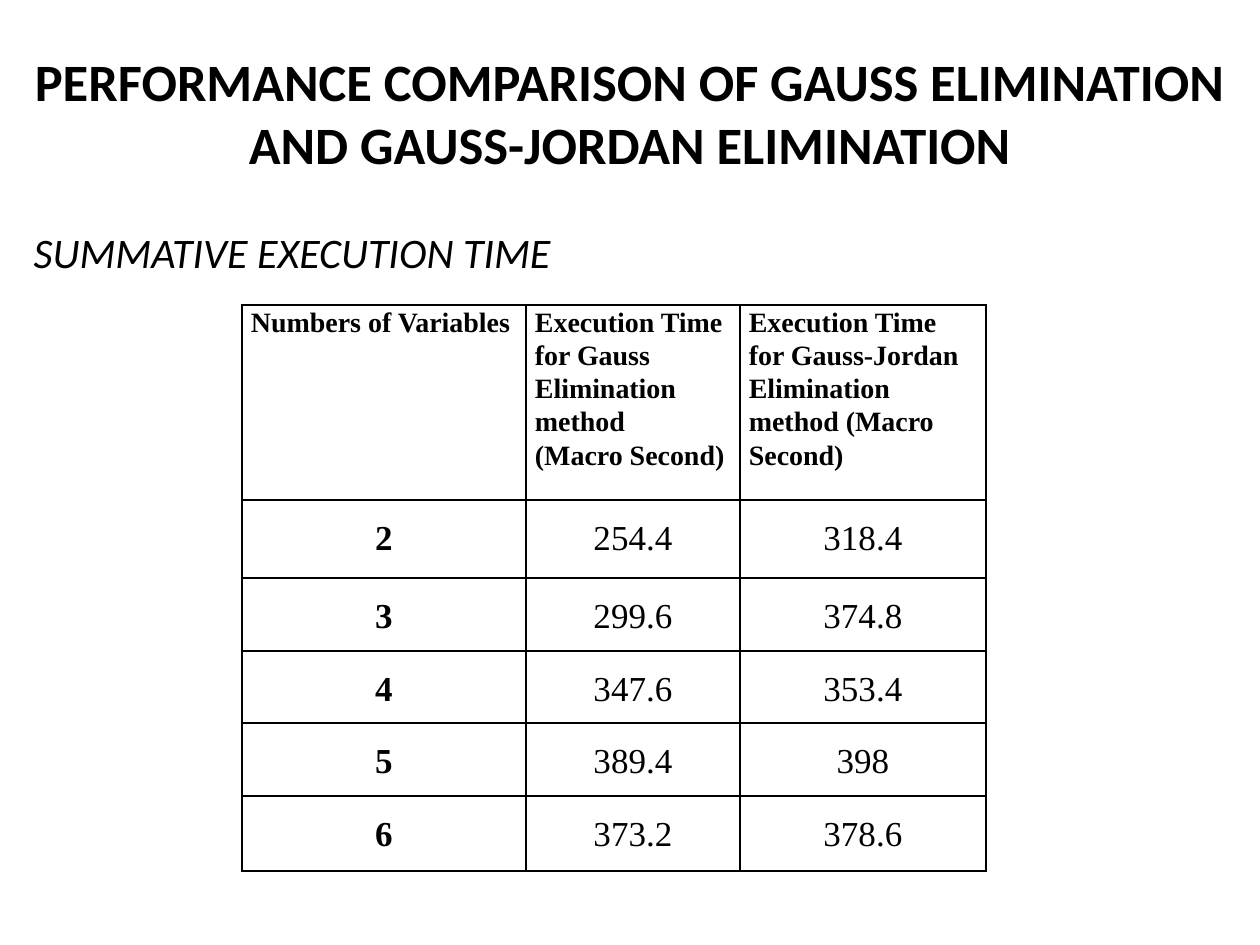
"""Build the slide comparing Gauss and Gauss-Jordan execution times."""
from dataclasses import dataclass

from lxml.etree import SubElement
from pptx import Presentation
from pptx.dml.color import RGBColor
from pptx.enum.text import MSO_ANCHOR as Anchor, MSO_AUTO_SIZE as AutoSize, PP_ALIGN as Align
from pptx.oxml.ns import qn
from pptx.util import Emu, Pt

PX = 914400 / 126


@dataclass(frozen=True)
class Theme:
    ink: RGBColor = RGBColor(0, 0, 0)
    paper: RGBColor = RGBColor(255, 255, 255)
    heading_font: str = "Calibri"
    table_font: str = "Times New Roman"
    title_size: int = 30
    subtitle_size: int = 24
    header_size: int = 16
    value_size: int = 20
    border: int = 1


THEME = Theme()
COLUMNS = [284, 214, 246]
ROWS = [195, 78, 73, 72, 73, 75]
HEADERS = (
    "Numbers of Variables",
    "Execution Time for Gauss Elimination method\n(Macro Second)",
    "Execution Time for Gauss-Jordan Elimination method (Macro Second)",
)
TIMES = [
    ("2", "254.4", "318.4"),
    ("3", "299.6", "374.8"),
    ("4", "347.6", "353.4"),
    ("5", "389.4", "398"),
    ("6", "373.2", "378.6"),
]


def px(length):
    return Emu(round(length * PX))


def apply(target, **values):
    for name, value in values.items():
        setattr(target, name, value)


def write(frame, wording, font, paragraph):
    frame.text = wording
    for line in frame.paragraphs:
        apply(line, **paragraph)
        for run in line.runs:
            apply(run.font, **font)
            run.font.color.rgb = THEME.ink


def fill_heading(heading, box, wording, font, align):
    left, top, width, height = map(px, box)
    apply(heading, left=left, top=top, width=width, height=height)
    frame = heading.text_frame
    write(frame, wording, {"name": THEME.heading_font, **font},
          {"alignment": align, "space_before": Pt(0)})
    apply(frame, word_wrap=True, vertical_anchor=Anchor.MIDDLE,
          auto_size=AutoSize.SHAPE_TO_FIT_TEXT)


def draw_borders(cell):
    properties = cell._tc.get_or_add_tcPr()
    for position, side in enumerate(("a:lnL", "a:lnR", "a:lnT", "a:lnB")):
        border = SubElement(properties, qn(side), w=str(Pt(THEME.border)))
        properties.insert(position, border)
        fill = SubElement(border, qn("a:solidFill"))
        SubElement(fill, qn("a:srgbClr"), val=str(THEME.ink))


def fill_cell(cell, wording, font, paragraph):
    write(cell.text_frame, wording, {"name": THEME.table_font, **font}, paragraph)
    apply(cell, margin_left=px(9), margin_right=px(9), margin_top=0, margin_bottom=0)
    cell.fill.solid()
    cell.fill.fore_color.rgb = THEME.paper
    draw_borders(cell)


def add_times_table(slide, left, top):
    table = slide.shapes.add_table(
        len(ROWS), len(COLUMNS), px(left), px(top), px(sum(COLUMNS)), px(sum(ROWS))
    ).table
    apply(table, first_row=False, horz_banding=False)
    for column, width in zip(table.columns, COLUMNS):
        column.width = px(width)
    for row, height in zip(table.rows, ROWS):
        row.height = px(height)
    for column, header in enumerate(HEADERS):
        fill_cell(table.cell(0, column), header,
                  {"size": Pt(THEME.header_size), "bold": True},
                  {"alignment": Align.LEFT, "line_spacing": 1.07})
    for row, times in enumerate(TIMES, start=1):
        for column, value in enumerate(times):
            fill_cell(table.cell(row, column), value,
                      {"size": Pt(THEME.value_size), "bold": column == 0},
                      {"alignment": Align.CENTER, "line_spacing": 1.5})


def main():
    deck = Presentation()
    apply(deck, slide_width=px(1260), slide_height=px(945))
    slide = deck.slides.add_slide(deck.slide_layouts[0])
    title, subtitle = slide.placeholders
    fill_heading(title, (0, 42, 1260, 140),
                 "PERFORMANCE COMPARISON OF GAUSS ELIMINATION AND GAUSS-JORDAN ELIMINATION",
                 {"size": Pt(THEME.title_size), "bold": True}, Align.CENTER)
    fill_heading(subtitle, (21, 220, 1176, 63), "SUMMATIVE EXECUTION TIME",
                 {"size": Pt(THEME.subtitle_size), "italic": True}, Align.LEFT)
    add_times_table(slide, 242, 305)
    deck.save("out.pptx")


if __name__ == "__main__":
    main()
